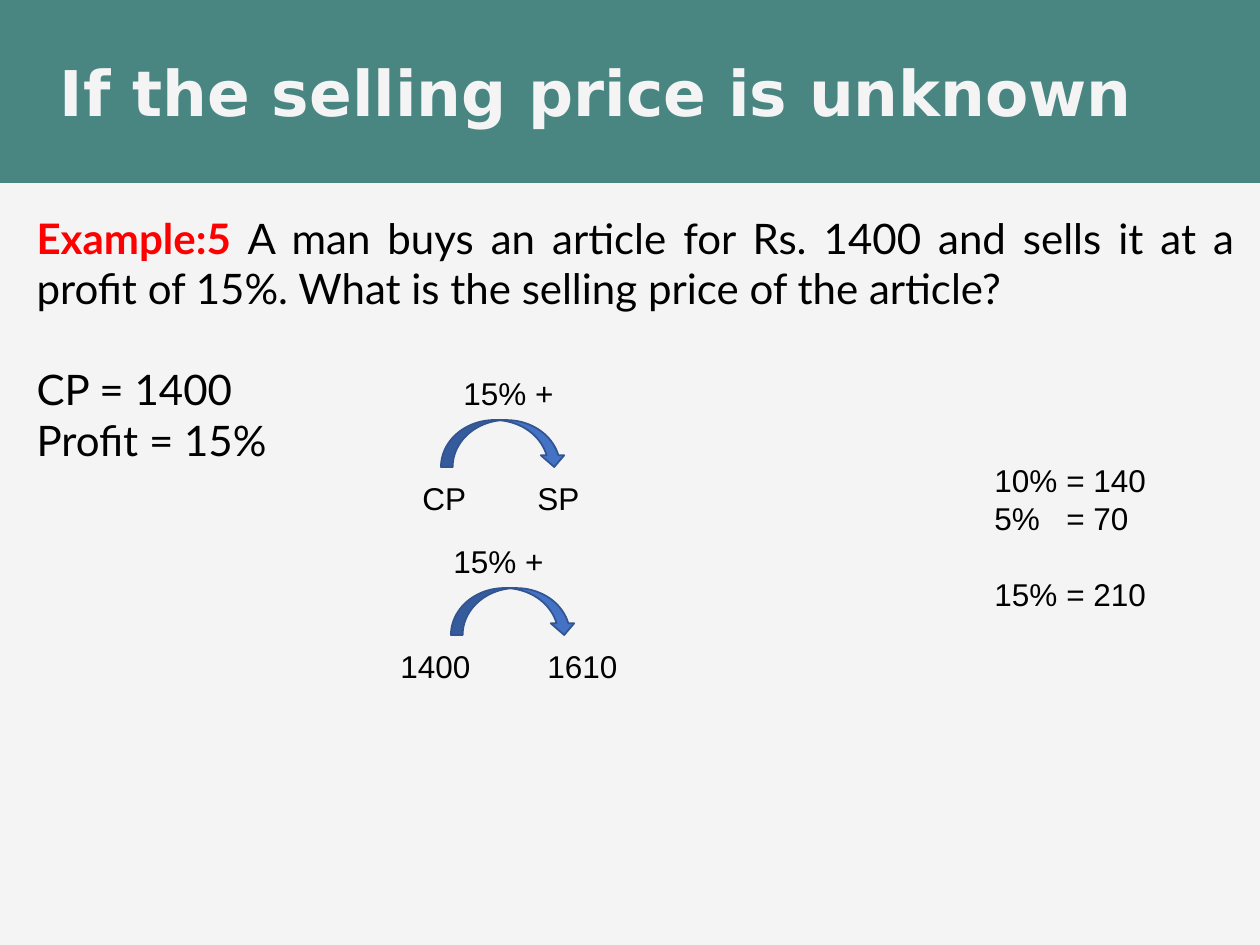
from dataclasses import dataclass

from lxml.etree import SubElement
from pptx import Presentation
from pptx.dml.color import RGBColor
from pptx.enum.shapes import MSO_SHAPE
from pptx.enum.text import MSO_ANCHOR, MSO_AUTO_SIZE, PP_ALIGN
from pptx.oxml.ns import qn
from pptx.util import Emu, Pt


@dataclass(frozen=True)
class Theme:
    background: str = "F4F4F5"
    band: str = "498682"
    accent: str = "FF0000"
    text: str = "000000"
    arrow: str = "4472C4"
    arrow_line: str = "325491"
    title_font: str = "DejaVu Sans"
    body_font: str = "Lato"
    label_font: str = "Arial"
    title_size: int = 36
    body_size: int = 24
    label_size: int = 18


theme = Theme()
PX = 914400 / 126


def box(*lengths):
    """Turn px lengths into EMU."""
    return [Emu(round(length * PX)) for length in lengths]


def add_run(paragraph, text, font, size, color=theme.text, bold=False):
    run = paragraph.add_run()
    run.text = text
    run.font.name = font
    run.font.size = Pt(size)
    run.font.bold = bold
    run.font.color.rgb = RGBColor.from_string(color)


presentation = Presentation()
presentation.slide_width, presentation.slide_height = box(1260, 945)
slide = presentation.slides.add_slide(presentation.slide_layouts[1])
slide.background.fill.solid()
slide.background.fill.fore_color.rgb = RGBColor.from_string(theme.background)

# Title band, behind the title
band = slide.shapes.add_shape(MSO_SHAPE.RECTANGLE, *box(0, 0, 1260, 183))
band.shadow.inherit = False
band.fill.solid()
band.fill.fore_color.rgb = RGBColor.from_string(theme.band)
band.line.fill.background()
slide.shapes._spTree.insert(2, band._element)

title = slide.shapes.title
title.left, title.top, title.width, title.height = box(47, 0, 1189, 183)
title.text_frame.auto_size = MSO_AUTO_SIZE.NONE
title.text_frame.vertical_anchor = MSO_ANCHOR.MIDDLE
paragraph = title.text_frame.paragraphs[0]
paragraph.alignment = PP_ALIGN.LEFT
add_run(paragraph, "If the selling price is unknown",
        theme.title_font, theme.title_size, theme.background, True)

# Question and given values
body = slide.placeholders[1]
body.left, body.top, body.width, body.height = box(24, 206, 1223, 574)
body.text_frame.auto_size = MSO_AUTO_SIZE.NONE
body.text_frame.vertical_anchor = MSO_ANCHOR.TOP
question = ("A man buys an article for Rs. 1400 and sells it at a profit of 15%. "
            "What is the selling price of the article?")
body_lines = [("Example:5 ", question, 0), ("", "CP = 1400", 29), ("", "Profit = 15%", 0)]
for index, (lead, text, space_before) in enumerate(body_lines):
    paragraph = body.text_frame.paragraphs[0] if index == 0 else body.text_frame.add_paragraph()
    properties = paragraph._p.get_or_add_pPr()
    properties.set("marL", "0")
    properties.set("indent", "0")
    SubElement(properties, qn("a:buNone"))
    paragraph.alignment = PP_ALIGN.JUSTIFY
    paragraph.space_before = Pt(space_before)
    if lead:
        add_run(paragraph, lead, theme.body_font, theme.body_size, theme.accent, True)
    add_run(paragraph, text, theme.body_font, theme.body_size)

# Curved arrows from cost price to selling price
for left, top in [(441, 420), (451, 588)]:
    arrow = slide.shapes.add_shape(MSO_SHAPE.CURVED_UP_ARROW, *box(left, top, 125, 47))
    arrow.rotation = 180
    arrow._element.spPr.find(qn("a:xfrm")).set("flipH", "1")
    arrow.shadow.inherit = False
    arrow.fill.solid()
    arrow.fill.fore_color.rgb = RGBColor.from_string(theme.arrow)
    arrow.line.color.rgb = RGBColor.from_string(theme.arrow_line)
    arrow.line.width = Pt(1)

labels = [
    ("15% +", 451, 368, 116), ("CP", 410, 473, 69), ("SP", 525, 473, 68),
    ("15% +", 441, 536, 116), ("1400", 388, 641, 95), ("1610", 535, 641, 95),
]
for text, left, top, width in labels:
    label = slide.shapes.add_textbox(*box(left, top, width, 50))
    label.text_frame.word_wrap = False
    label.text_frame.auto_size = MSO_AUTO_SIZE.SHAPE_TO_FIT_TEXT
    paragraph = label.text_frame.paragraphs[0]
    paragraph.line_spacing = Pt(theme.label_size * 1.2)
    add_run(paragraph, text, theme.label_font, theme.label_size)

# Percentage working, equals signs aligned by a tab stop
working = slide.shapes.add_textbox(*box(982, 455, 189, 165))
working.text_frame.word_wrap = True
working_lines = [("10%", "= 140", 0), ("5%", "= 70", 0), ("15%", "= 210", 21.6)]
for index, (percent, amount, space_before) in enumerate(working_lines):
    paragraph = working.text_frame.paragraphs[0] if index == 0 else working.text_frame.add_paragraph()
    tabs = SubElement(paragraph._p.get_or_add_pPr(), qn("a:tabLst"))
    SubElement(tabs, qn("a:tab"), pos=str(box(72)[0]), algn="l")
    paragraph.line_spacing = Pt(theme.label_size * 1.2)
    paragraph.space_before = Pt(space_before)
    add_run(paragraph, f"{percent}\t{amount}", theme.label_font, theme.label_size)

presentation.save("out.pptx")
